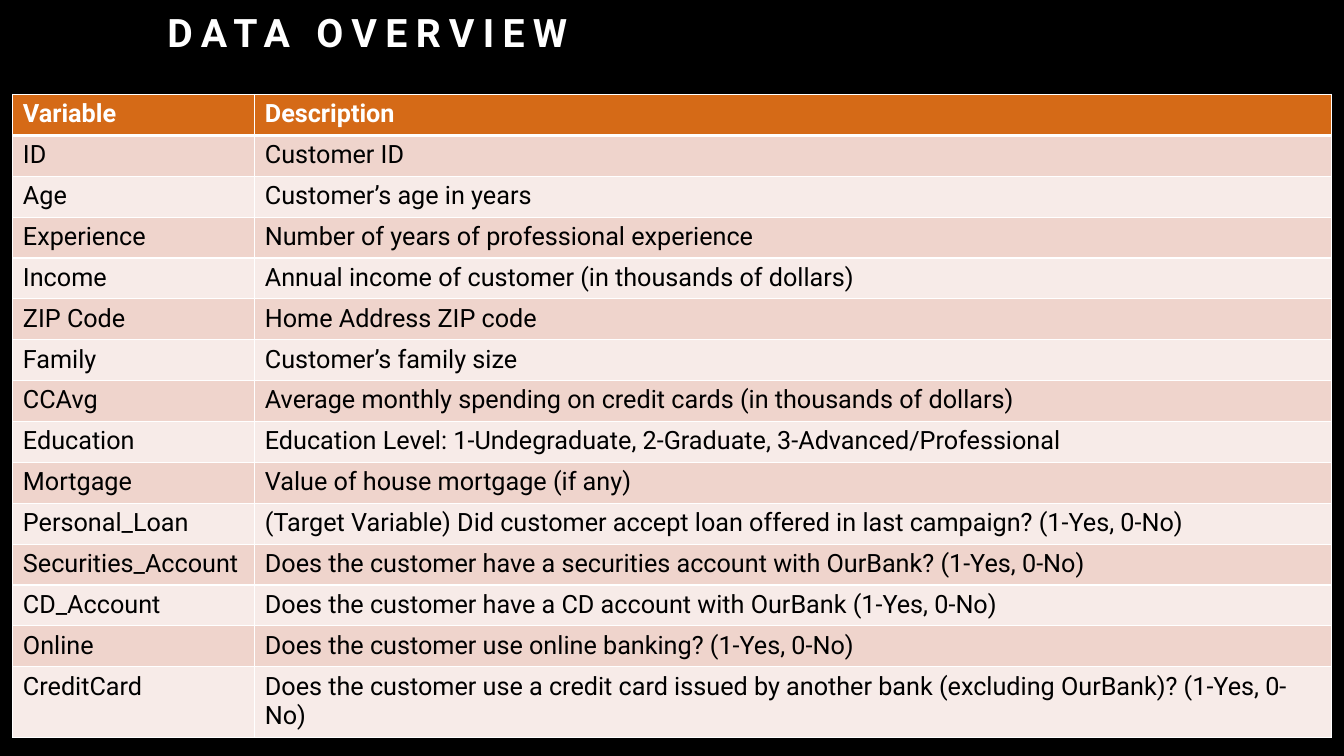
from lxml.etree import SubElement
from pptx import Presentation
from pptx.dml.color import RGBColor
from pptx.enum.text import MSO_ANCHOR
from pptx.oxml import parse_xml
from pptx.oxml.ns import nsdecls, qn
from pptx.util import Pt

BLACK = RGBColor(0x00, 0x00, 0x00)
WHITE = RGBColor(0xFF, 0xFF, 0xFF)
ORANGE = RGBColor(0xD5, 0x6A, 0x17)
ROSE = RGBColor(0xEF, 0xD4, 0xCC)
PALE_ROSE = RGBColor(0xF7, 0xEB, 0xE8)
FONT = "Roboto"

VARIABLES = [
    ("Variable", "Description"),
    ("ID", "Customer ID"),
    ("Age", "Customer’s age in years"),
    ("Experience", "Number of years of professional experience"),
    ("Income", "Annual income of customer (in thousands of dollars)"),
    ("ZIP Code", "Home Address ZIP code"),
    ("Family", "Customer’s family size"),
    ("CCAvg", "Average monthly spending on credit cards (in thousands of dollars)"),
    ("Education", "Education Level: 1-Undegraduate, 2-Graduate, 3-Advanced/Professional"),
    ("Mortgage", "Value of house mortgage (if any)"),
    ("Personal_Loan", "(Target Variable) Did customer accept loan offered in last campaign? (1-Yes, 0-No)"),
    ("Securities_Account", "Does the customer have a securities account with OurBank? (1-Yes, 0-No)"),
    ("CD_Account", "Does the customer have a CD account with OurBank (1-Yes, 0-No)"),
    ("Online", "Does the customer use online banking? (1-Yes, 0-No)"),
    ("CreditCard", "Does the customer use a credit card issued by another bank (excluding OurBank)? (1-Yes, 0-No)"),
]
COLUMN_WIDTHS = (172.8, 769)
ROW_HEIGHT = 29.2


def style_text(para, size, color, bold):
    para.font.name = FONT
    para.font.size = Pt(size)
    para.font.color.rgb = color
    para.font.bold = bold


def add_borders(cell, widths):
    # Border lines come before the fill in the cell properties
    properties = cell._tc.get_or_add_tcPr()
    for position, (side, width) in enumerate(widths.items()):
        line = parse_xml(f'<a:ln{side} {nsdecls("a")} w="{Pt(width)}"/>')
        fill = SubElement(line, qn("a:solidFill"))
        SubElement(fill, qn("a:srgbClr"), val=str(WHITE))
        properties.insert(position, line)


# Page
deck = Presentation()
deck.slide_width, deck.slide_height = Pt(960), Pt(540)
page = deck.slides.add_slide(deck.slide_layouts[6])
page.background.fill.solid()
page.background.fill.fore_color.rgb = BLACK

# Title
title_box = page.shapes.add_textbox(Pt(112.5), Pt(0), Pt(727), Pt(43.2))
title_box.text_frame.word_wrap = True
title_box.text_frame.vertical_anchor = MSO_ANCHOR.BOTTOM
para = title_box.text_frame.paragraphs[0]
para.line_spacing = 1.2
span = para.add_run()
span.text = "DATA OVERVIEW"
span._r.get_or_add_rPr().set("spc", "600")
style_text(para, 28, WHITE, True)

# Table of variables
table = page.shapes.add_table(
    len(VARIABLES), len(COLUMN_WIDTHS), Pt(9.2), Pt(67.5),
    Pt(sum(COLUMN_WIDTHS)), Pt(ROW_HEIGHT * len(VARIABLES))).table
for column, width in zip(table.columns, COLUMN_WIDTHS):
    column.width = Pt(width)

for row_index, texts in enumerate(VARIABLES):
    table.rows[row_index].height = Pt(ROW_HEIGHT)
    header = row_index == 0
    row_fill = ORANGE if header else ROSE if row_index % 2 else PALE_ROSE
    # A thick rule separates the header from the first data row
    borders = {"L": 1, "R": 1, "T": 3 if row_index == 1 else 1, "B": 3 if header else 1}
    for column_index, text in enumerate(texts):
        cell = table.cell(row_index, column_index)
        cell.text = text
        cell.fill.solid()
        cell.fill.fore_color.rgb = row_fill
        style_text(cell.text_frame.paragraphs[0], 18, WHITE if header else BLACK, header)
        add_borders(cell, borders)

deck.save("out.pptx")
